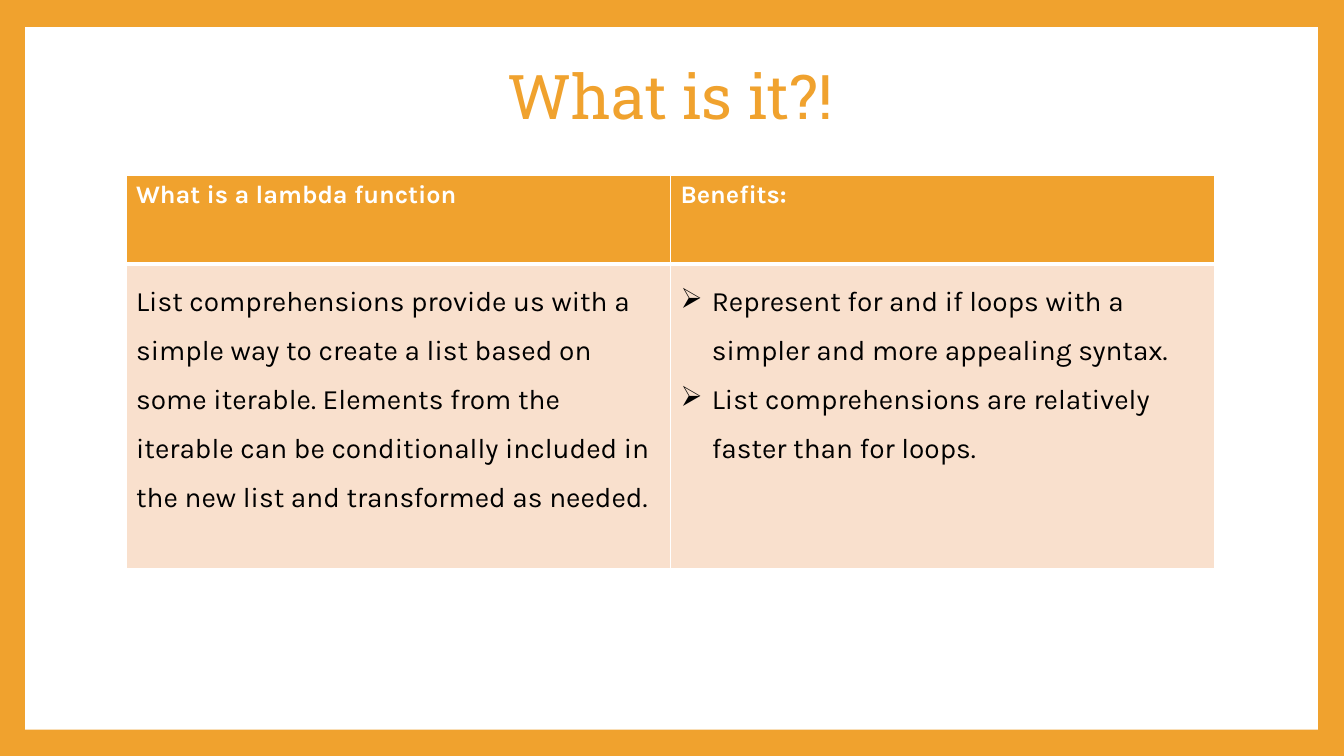
from pptx import Presentation
from pptx.dml.color import RGBColor
from pptx.enum.shapes import MSO_SHAPE as Shape
from pptx.enum.text import MSO_ANCHOR as Anchor, PP_ALIGN as Align
from pptx.oxml.ns import qn
from pptx.util import Inches, Pt
from lxml.etree import SubElement

# Content
TITLE = "What is it?!"
HEADINGS = ["What is a lambda function", "Benefits:"]
DEFINITION = (
    "List comprehensions provide us with a simple way to create a list based on "
    "some iterable. Elements from the iterable can be conditionally included in "
    "the new list and transformed as needed."
)
BENEFITS = [
    "Represent for and if loops with a simpler and more appealing syntax.",
    "List comprehensions are relatively faster than for loops.",
]

# Style
ORANGE = RGBColor(0xF0, 0xA2, 0x2E)
PEACH = RGBColor(0xF9, 0xE0, 0xCD)
WHITE = RGBColor(0xFF, 0xFF, 0xFF)
BLACK = RGBColor(0x00, 0x00, 0x00)
TITLE_FONT, BODY_FONT = "Roboto Slab", "Karla"
BULLET, BULLET_INDENT = "➢", Inches(0.31)

# Layout in inches
WIDTH, HEIGHT = 13.33, 7.5
PANEL = (0.25, 0.27, 12.82, 6.97)
LEFT, CONTENT_WIDTH = 1.25, 10.8
TITLE_TOP, TITLE_HEIGHT = 0.25, 1.48
TABLE_TOP, ROW_HEIGHTS = 1.74, (0.88, 3.02)
THIN, THICK = 1, 3


def add_text(paragraph, text, font_name, size, color, bold=False):
    run = paragraph.add_run()
    run.text = text
    run.font.name = font_name
    run.font.size = Pt(size)
    run.font.color.rgb = color
    run.font.bold = bold


def add_bullet(paragraph):
    properties = paragraph._p.get_or_add_pPr()
    properties.set("marL", str(BULLET_INDENT))
    properties.set("indent", str(-BULLET_INDENT))
    SubElement(properties, qn("a:buChar"), char=BULLET)


def style_cell(cell, fill_color, top, bottom):
    properties = cell._tc.get_or_add_tcPr()
    for side, width in (("L", THIN), ("R", THIN), ("T", top), ("B", bottom)):
        line = SubElement(properties, qn(f"a:ln{side}"), w=str(Pt(width)))
        fill = SubElement(line, qn("a:solidFill"))
        SubElement(fill, qn("a:srgbClr"), val=str(WHITE))
    cell.fill.solid()
    cell.fill.fore_color.rgb = fill_color


presentation = Presentation()
presentation.slide_width = Inches(WIDTH)
presentation.slide_height = Inches(HEIGHT)
slide = presentation.slides.add_slide(presentation.slide_layouts[6])

# Orange frame around a white panel
slide.background.fill.solid()
slide.background.fill.fore_color.rgb = ORANGE
panel = slide.shapes.add_shape(Shape.RECTANGLE, *map(Inches, PANEL))
panel.shadow.inherit = False
panel.fill.solid()
panel.fill.fore_color.rgb = WHITE
panel.line.fill.background()

# Title
title = slide.shapes.add_textbox(
    *map(Inches, (LEFT, TITLE_TOP, CONTENT_WIDTH, TITLE_HEIGHT))
)
title.text_frame.word_wrap = True
title.text_frame.vertical_anchor = Anchor.MIDDLE
paragraph = title.text_frame.paragraphs[0]
paragraph.alignment = Align.CENTER
paragraph.line_spacing = 0.9
add_text(paragraph, TITLE, TITLE_FONT, 44, ORANGE)

# Table
table = slide.shapes.add_table(
    len(ROW_HEIGHTS), len(HEADINGS),
    *map(Inches, (LEFT, TABLE_TOP, CONTENT_WIDTH, sum(ROW_HEIGHTS))),
).table
for row, height in zip(table.rows, ROW_HEIGHTS):
    row.height = Inches(height)

for column, (heading, texts) in enumerate(zip(HEADINGS, ([DEFINITION], BENEFITS))):
    header, body = table.cell(0, column), table.cell(1, column)
    style_cell(header, ORANGE, THIN, THICK)
    style_cell(body, PEACH, THICK, THIN)
    add_text(header.text_frame.paragraphs[0], heading, BODY_FONT, 18, WHITE, True)
    for index, text in enumerate(texts):
        frame = body.text_frame
        paragraph = frame.add_paragraph() if index else frame.paragraphs[0]
        paragraph.line_spacing = 1.5
        if texts is BENEFITS:
            add_bullet(paragraph)
        add_text(paragraph, text, BODY_FONT, 20, BLACK)

presentation.save("out.pptx")
